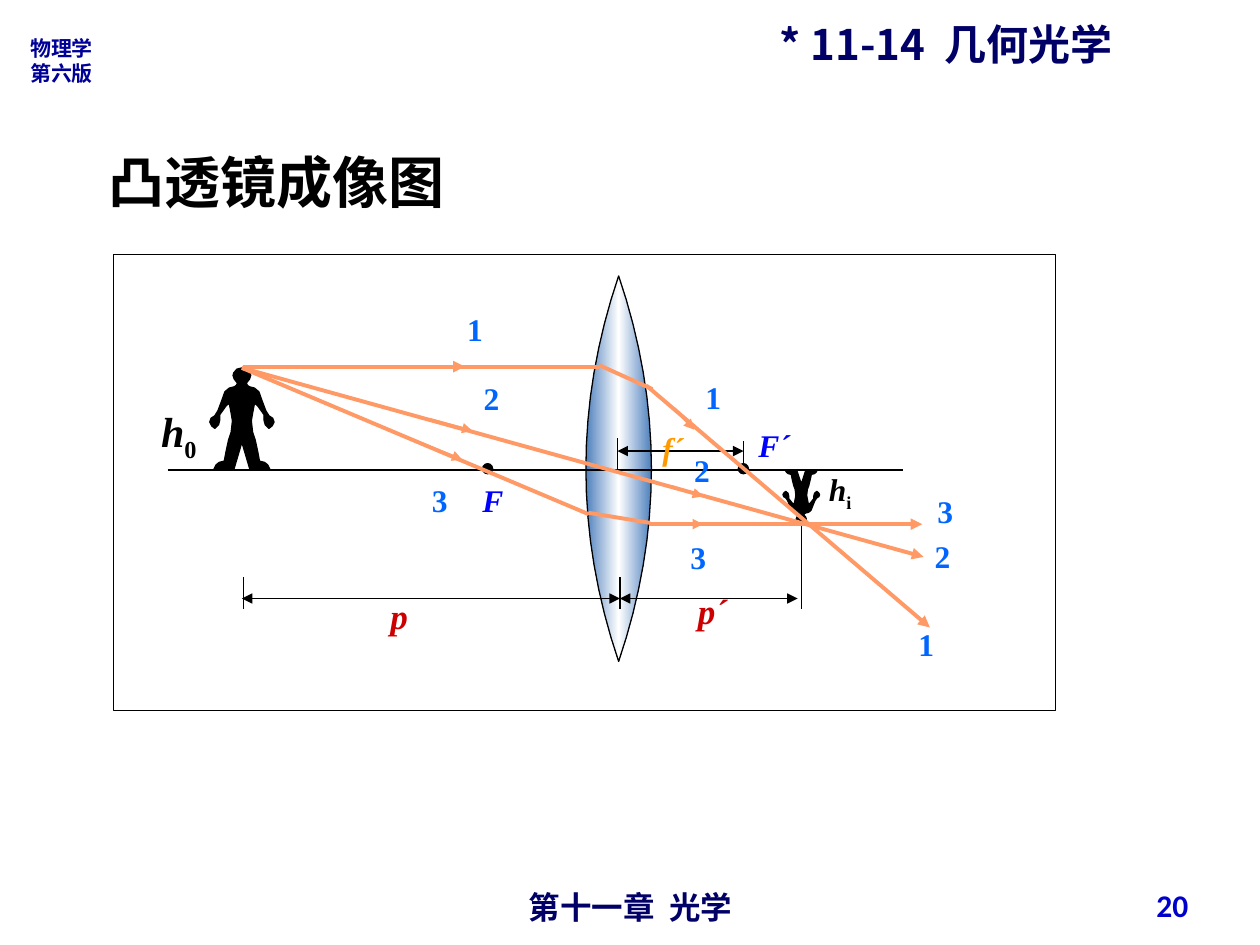
from copy import deepcopy

from lxml.etree import SubElement
from pptx import Presentation
from pptx.dml.color import RGBColor
from pptx.enum.shapes import MSO_CONNECTOR, MSO_SHAPE
from pptx.enum.text import MSO_ANCHOR, PP_ALIGN
from pptx.oxml.ns import qn
from pptx.util import Cm, Pt

SERIF, SANS_CJK = "Times New Roman", "Noto Sans CJK SC"
BLACK, NAVY, RED, BLUE, ORANGE = "000000", "000066", "CC0000", "0000FF", "FF9900"
RAY, NUMBER, GLASS = "FF9966", "0066FF", "4F81BD"
AXIS_Y, LENS_X = 3.73, 4.91
HALF_PERSON = [
    (0, 0), (.04, .01), (.065, .04), (.07, .06), (.06, .09), (.035, .12),
    (.045, .14), (.06, .15), (.1, .16), (.135, .19), (.16, .26), (.19, .34),
    (.215, .38), (.245, .4), (.255, .43), (.24, .46), (.215, .48), (.185, .45),
    (.175, .41), (.175, .37), (.125, .3), (.1, .28), (.085, .36), (.075, .42),
    (.085, .51), (.105, .57), (.125, .66), (.14, .74), (.18, .75), (.205, .77),
    (.225, .81), (.065, .81), (0, .59),
]


def inches(value):
    """Turn a length in inches into a Cm length."""
    return Cm(value * 2.54)


def colour(code):
    """Turn a hex string into a colour."""
    return RGBColor.from_string(code)


class Diagram:
    """Draws styled elements on the current slide."""

    def __init__(self, slide):
        """Keep the slide that is drawn on."""
        self.slide = slide
        self.shapes = slide.shapes

    def text(self, x, y, w, h, lines, size, code, font=SERIF, italic=False,
             sub="", wrap=False, align=PP_ALIGN.LEFT, anchor=MSO_ANCHOR.TOP):
        """Add bold text, with an optional upright subscript."""
        frame = self.shapes.add_textbox(*map(inches, (x, y, w, h))).text_frame
        frame.word_wrap, frame.vertical_anchor = wrap, anchor
        for number, line in enumerate(lines):
            paragraph = frame.add_paragraph() if number else frame.paragraphs[0]
            paragraph.alignment = align
            self.run(paragraph, line, size, code, font, italic)
        if sub:
            subscript = self.run(paragraph, sub, size, code, font, False)
            subscript.font._element.set("baseline", "-25000")

    def run(self, paragraph, words, size, code, font, italic):
        """Add one bold run."""
        run = paragraph.add_run()
        run.text = words
        run.font.name, run.font.size = font, Pt(size)
        run.font.bold, run.font.italic = True, italic
        run.font.color.rgb = colour(code)
        SubElement(run.font._element, qn("a:ea")).set("typeface", SANS_CJK)
        return run

    def line(self, start, end, code=BLACK, width=.75, ends=()):
        """Add a straight line with triangles at the named ends."""
        points = map(inches, (*start, *end))
        connector = self.shapes.add_connector(MSO_CONNECTOR.STRAIGHT, *points)
        connector.line.color.rgb = colour(code)
        connector.line.width = Pt(width)
        for end_name in ends:
            SubElement(connector.line._get_or_add_ln(), qn(f"a:{end_name}")).set("type", "triangle")
        SubElement(connector._element.spPr, qn("a:effectLst"))

    def ray(self, start, end, width=2.25, arrow=False):
        """Add a piece of a light ray."""
        self.line(start, end, RAY, width, ("tailEnd",) if arrow else ())

    def span(self, left, right, y):
        """Add a dimension line with two arrowheads."""
        self.line((left, y), (right, y), ends=("headEnd", "tailEnd"))

    def preset(self, kind, x, y, w, h, fill=None):
        """Add a preset shape with a thin black outline."""
        return self.finish(self.shapes.add_shape(kind, *map(inches, (x, y, w, h))), fill)

    def finish(self, shape, fill):
        """Give a shape its fill and outline."""
        shape.shadow.inherit = False
        if fill:
            shape.fill.solid()
            shape.fill.fore_color.rgb = colour(fill)
        else:
            shape.fill.background()
        shape.line.color.rgb = colour(BLACK)
        shape.line.width = Pt(.75)
        return shape

    def mirrored(self, half, x, y, scale_x=1, scale_y=1, fill=BLACK):
        """Add an outline made of a right half and its mirror image."""
        whole = half + [(-dx, dy) for dx, dy in reversed(half)]
        points = [(inches(x + dx * scale_x), inches(y + dy * scale_y)) for dx, dy in whole]
        builder = self.shapes.build_freeform(*points[0])
        builder.add_line_segments(points[1:], close=True)
        return self.finish(builder.convert_to_shape(), fill)

    def lens(self, x, y, half_width, half_height):
        """Add a convex lens with a glass gradient."""
        steps = [step / 8 for step in range(-8, 9)]
        edge = [(half_width * (1 - t * t), half_height * t) for t in steps]
        lens = self.mirrored(edge, x, y)
        lens.fill.gradient()
        lens.fill.gradient_angle = 0
        first_stop = lens._element.spPr.find(f".//{qn('a:gs')}")
        first_stop.getparent().append(deepcopy(first_stop))
        for stop, place, code in zip(lens.fill.gradient_stops, (0, .5, 1), (GLASS, "FFFFFF", GLASS)):
            stop.position, stop.color.rgb = place, colour(code)


def main():
    """Build the slide and save it."""
    deck = Presentation()
    deck.slide_width, deck.slide_height = inches(10), inches(7.5)
    diagram = Diagram(deck.slides.add_slide(deck.slide_layouts[6]))

    diagram.text(.14, .23, .72, .5, ["物理学", "第六版"], 12, "000099", SANS_CJK, wrap=True)
    diagram.text(3.42, 7, 3.17, .29, ["第十一章  光学"], 18, NAVY, "Arial",
                 wrap=True, align=PP_ALIGN.CENTER)
    diagram.text(6.09, .1, 3.28, .9, ["* 11-14  几何光学"], 24, NAVY, SANS_CJK, wrap=True)
    diagram.text(7.2, 6.98, 2.33, .4, ["20"], 18, "0000CC", "Calibri", wrap=True,
                 align=PP_ALIGN.RIGHT, anchor=MSO_ANCHOR.MIDDLE)
    diagram.text(.76, 1.12, 2.87, .64, ["凸透镜成像图"], 32, BLACK, "Arial")

    diagram.lens(LENS_X, 3.72, .26, 1.53)
    diagram.line((1.33, AXIS_Y), (7.17, AXIS_Y))
    for focus_x in (3.83, 5.86):
        diagram.preset(MSO_SHAPE.OVAL, focus_x, 3.68, .08, .08, BLACK)
    diagram.mirrored(HALF_PERSON, 1.92, 2.92)
    diagram.mirrored(HALF_PERSON, 6.36, 4.15, .57, -.52)

    for x, top, bottom in [(1.93, 4.58, 4.83), (6.36, 4.17, 4.83), (4.92, 4.58, 4.83),
                           (4.9, 3.48, 3.73), (5.9, 3.5, 3.75)]:
        diagram.line((x, top), (x, bottom))
    for left, right, y in [(1.92, 4.92, 4.75), (4.92, 6.33, 4.75), (4.9, 5.9, 3.58)]:
        diagram.span(left, right, y)
    for symbol, sub, x, y, w, h, size, code in [
        ("h", "0", 1.18, 3.17, .48, .56, 24, BLACK),
        ("h", "i", 6.48, 3.68, .38, .44, 18, BLACK),
        ("p", "", 3, 4.67, .34, .44, 20, RED),
        ("p´", "", 5.44, 4.63, .43, .44, 20, RED),
        ("F", "", 3.73, 3.77, .36, .4, 18, BLUE),
        ("F´", "", 5.92, 3.33, .45, .4, 18, BLUE),
        ("f´", "", 5.16, 3.36, .47, .4, 18, ORANGE),
    ]:
        diagram.text(x, y, w, h, [symbol], size, code, italic=True, sub=sub)

    for start, end in [((4.76, 2.9), (5.18, 3.09)), ((1.93, 2.91), (4.76, 2.91)),
                       ((1.92, 2.92), (4.67, 4.08)), ((4.67, 4.07), (5.16, 4.15))]:
        diagram.ray(start, end)
    for start, end in [((5.13, 3.06), (7.38, 4.98)), ((3.36, 2.91), (3.69, 2.91)),
                       ((1.92, 2.92), (7.33, 4.42)), ((5.15, 4.16), (7.32, 4.16))]:
        diagram.ray(start, end, arrow=True)
    for start, end in [((5.35, 3.24), (5.51, 3.41)), ((3.42, 3.33), (3.75, 3.42)),
                       ((5.33, 3.86), (5.58, 3.94)), ((3.25, 3.48), (3.67, 3.65)),
                       ((5.42, 4.16), (5.58, 4.16))]:
        diagram.ray(start, end, 1.5, True)
    ray_numbers = {
        "1": [(5.5, 2.95), (3.61, 2.41), (7.19, 4.91)],
        "2": [(3.74, 2.96), (5.41, 3.53), (7.32, 4.21)],
        "3": [(5.38, 4.22), (7.34, 3.86), (3.33, 3.77)],
    }
    for number, places in ray_numbers.items():
        for x, y in places:
            diagram.text(x, y, .32, .4, [number], 18, NUMBER)
    diagram.preset(MSO_SHAPE.RECTANGLE, .9, 2.02, 7.48, 3.62)

    deck.save("out.pptx")


if __name__ == "__main__":
    main()
